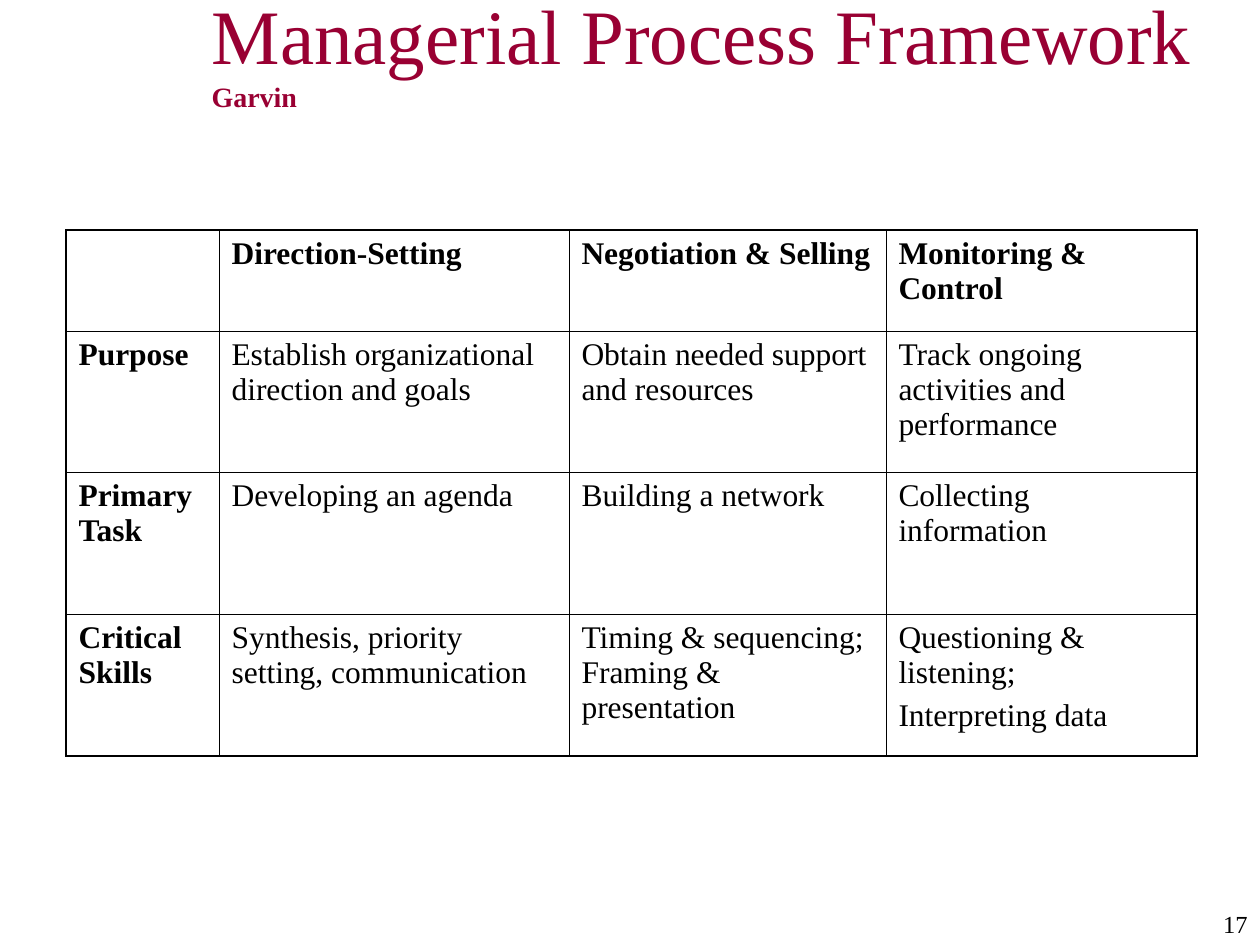
from lxml.etree import SubElement
from pptx import Presentation
from pptx.dml.color import RGBColor
from pptx.enum.text import MSO_ANCHOR, MSO_AUTO_SIZE, PP_ALIGN
from pptx.oxml.ns import qn
from pptx.util import Pt

CRIMSON = RGBColor(0x99, 0x00, 0x33)
BLACK = RGBColor(0x00, 0x00, 0x00)
FONT = "Times New Roman"
THIN, THICK = 0.45, 1.08  # border widths in points


def px(length):
    return round(length * 914400 / 126)


def add_text(paragraph, text, size, color, bold=False):
    run = paragraph.add_run()
    run.text = text
    values = {"name": FONT, "size": Pt(size), "bold": bold}
    for name, value in values.items():
        setattr(run.font, name, value)
    run.font.color.rgb = color


presentation = Presentation()
presentation.slide_width, presentation.slide_height = px(1260), px(945)
slide = presentation.slides.add_slide(presentation.slide_layouts[5])

# Title
title = slide.shapes.title
title.left, title.top, title.width, title.height = px(199), px(14), px(1061), px(73)
title_format = {"auto_size": MSO_AUTO_SIZE.NONE, "word_wrap": True,
                "vertical_anchor": MSO_ANCHOR.MIDDLE}
for name, value in title_format.items():
    setattr(title.text_frame, name, value)
paragraph = title.text_frame.paragraphs[0]
paragraph.alignment = PP_ALIGN.LEFT
add_text(paragraph, "Managerial Process Framework ", 44, CRIMSON)
add_text(paragraph, "Garvin", 16, CRIMSON, bold=True)

# Process table
rows = [
    ["", "Direction-Setting", "Negotiation & Selling", "Monitoring & Control"],
    ["Purpose", "Establish organizational direction and goals",
     "Obtain needed support and resources",
     "Track ongoing activities and performance"],
    ["Primary Task", "Developing an agenda", "Building a network",
     "Collecting information"],
    ["Critical Skills", "Synthesis, priority setting, communication",
     "Timing & sequencing; Framing & presentation",
     "Questioning & listening;\nInterpreting data"],
]
column_widths = [153, 350, 317, 311]
row_heights = [101, 141, 142, 142]
last_row, last_column = len(rows) - 1, len(column_widths) - 1
table = slide.shapes.add_table(
    len(rows), len(column_widths), px(66), px(230),
    px(sum(column_widths)), px(sum(row_heights))).table
table.first_row = table.horz_banding = False
for column, width in zip(table.columns, column_widths):
    column.width = px(width)
for row, height in zip(table.rows, row_heights):
    row.height = px(height)

for r, texts in enumerate(rows):
    for c, text in enumerate(texts):
        cell = table.cell(r, c)
        for i, line in enumerate(text.split("\n")):
            frame = cell.text_frame
            paragraph = frame.add_paragraph() if i else frame.paragraphs[0]
            if i:
                paragraph.space_before = Pt(4.5)
            if line:
                add_text(paragraph, line, 18, BLACK, bold=r == 0 or c == 0)

        # Thick outer frame, thin inner grid
        outer_sides = {"a:lnL": c == 0, "a:lnR": c == last_column,
                       "a:lnT": r == 0, "a:lnB": r == last_row}
        properties = cell._tc.get_or_add_tcPr()
        for tag, is_outer in outer_sides.items():
            border = SubElement(properties, qn(tag),
                                w=str(Pt(THICK if is_outer else THIN)))
            fill = SubElement(border, qn("a:solidFill"))
            SubElement(fill, qn("a:srgbClr"), val=str(BLACK))
        cell.fill.background()

# Slide number
number = slide.shapes.add_textbox(px(1081), px(903), px(179), px(42))
number.text_frame.word_wrap = True
paragraph = number.text_frame.paragraphs[0]
paragraph.alignment = PP_ALIGN.RIGHT
add_text(paragraph, "17", 14, BLACK)

presentation.save("out.pptx")
